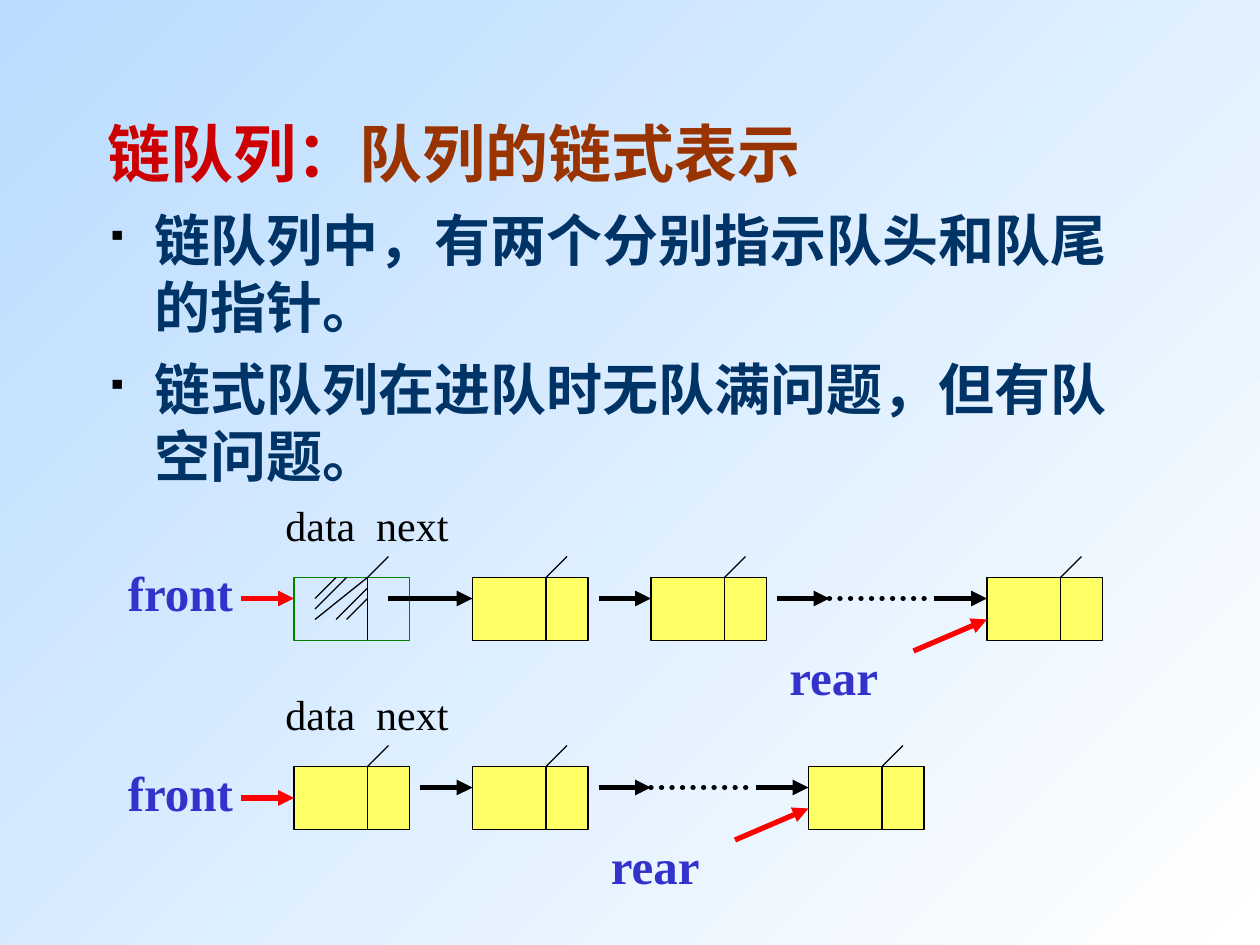
"""Build a slide explaining the linked representation of a queue."""
from lxml import etree
from pptx import Presentation
from pptx.dml.color import RGBColor
from pptx.enum.dml import MSO_LINE
from pptx.enum.shapes import MSO_CONNECTOR, MSO_SHAPE
from pptx.enum.text import MSO_ANCHOR, MSO_AUTO_SIZE, PP_ALIGN
from pptx.oxml import parse_xml
from pptx.oxml.ns import nsdecls, qn
from pptx.util import Pt

STRAIGHT, RECTANGLE = MSO_CONNECTOR.STRAIGHT, MSO_SHAPE.RECTANGLE
DOTTED, MIDDLE, LEFT = MSO_LINE.ROUND_DOT, MSO_ANCHOR.MIDDLE, PP_ALIGN.LEFT
FIT_SHAPE = MSO_AUTO_SIZE.SHAPE_TO_FIT_TEXT

TITLE = [("链队列：", "term"), ("队列的链式表示", "title")]
BULLETS = [
    "链队列中，有两个分别指示队头和队尾的指针。",
    "链式队列在进队时无队满问题，但有队空问题。",
]
QUEUES = [
    {"top": 330, "nodes": [168, 270, 372, 564], "header": True, "front_drop": 0},
    {"top": 438, "nodes": [168, 270, 462], "header": False, "front_drop": 6},
]
HATCHING = [
    (30, 0, 12, 18), (42, 6, 24, 24), (42, 0, 12, 24), (42, 12, 30, 24), (24, 0, 12, 12),
]
THEME = {
    "font": "Times New Roman",
    "sizes": {"title": 36, "body": 32, "pointer": 28, "field": 24},
    "colors": {
        "term": "CC0000", "title": "993300", "body": "003366", "pointer": "3333CC",
        "field": "000000", "line": "000000", "arrow": "FF0000", "header": "008000",
        "node": "FFFF66", "light": "FFFFFF", "sky": "B9DCFF",
    },
    "thin": 0.75,
    "thick": 3,
}
NODE_WIDTH, NODE_HEIGHT, DATA_WIDTH = 66, 36, 42
LINK_DROP, LINK_LENGTH, DOTS_LENGTH, TICK = 12, 30, 60, 12


def color(name):
    return RGBColor.from_string(THEME["colors"][name])


def style_font(font, size, tone, bold):
    font.name, font.size, font.bold = THEME["font"], Pt(THEME["sizes"][size]), bold
    font.color.rgb = color(tone)


def add_line(shapes, start, end, tone="line", width="thin", arrow=False, dotted=False):
    line = shapes.add_connector(STRAIGHT, *map(Pt, (*start, *end)))
    line.line.color.rgb = color(tone)
    line.line.width = Pt(THEME[width])
    outline = line.line._get_or_add_ln()
    if dotted:
        line.line.dash_style = DOTTED
        outline.set("cap", "rnd")
    if arrow:
        etree.SubElement(outline, qn("a:tailEnd"), type="triangle")
    etree.SubElement(line._element.spPr, qn("a:effectLst"))


def add_label(shapes, text, left, top, width, height, role, wrap=False):
    box = shapes.add_textbox(Pt(left), Pt(top), Pt(width), Pt(height))
    frame = box.text_frame
    frame.word_wrap, frame.auto_size = wrap, FIT_SHAPE
    frame.text = text
    style_font(frame.paragraphs[0].runs[0].font, role, role, role == "pointer")


def add_node(shapes, left, top, header):
    node = shapes.add_shape(RECTANGLE, Pt(left), Pt(top), Pt(NODE_WIDTH), Pt(NODE_HEIGHT))
    node.shadow.inherit = False
    node.line.width = Pt(THEME["thin"])
    node.line.color.rgb = color("header" if header else "line")
    if header:
        node.fill.background()
    else:
        node.fill.solid()
        node.fill.fore_color.rgb = color("node")
    divider = left + DATA_WIDTH
    add_line(shapes, (divider, top), (divider, top + NODE_HEIGHT))
    add_line(shapes, (divider, top), (divider + TICK, top - TICK))


def add_queue(page, queue):
    shapes = page.shapes.add_group_shape().shapes
    top, nodes, header = queue["top"], queue["nodes"], queue["header"]
    first, last = nodes[0], nodes[-1]
    link_y = top + LINK_DROP
    for index, left in enumerate(nodes):
        add_node(shapes, left, top, header and index == 0)

    for index, left in enumerate(nodes[1:]):
        start = first + 54 if header and index == 0 else left - LINK_LENGTH
        add_line(shapes, (start, link_y), (left, link_y), width="thick", arrow=True)
    dots_end = last - LINK_LENGTH
    dots_start = dots_end - DOTS_LENGTH
    add_line(shapes, (dots_start - LINK_LENGTH, link_y), (dots_start, link_y),
             width="thick", arrow=True)
    add_line(shapes, (dots_start, link_y), (dots_end, link_y), width="thick", dotted=True)

    front_y = link_y + queue["front_drop"]
    add_line(shapes, (first - LINK_LENGTH, front_y), (first, front_y), "arrow", "thick", True)
    add_line(shapes, (last - 42, top + 42), (last, top + 24), "arrow", "thick", True)
    add_label(shapes, "data  next", first - 12, top - 48, 132, 36, "field", wrap=True)
    add_label(shapes, "front", first - 102, front_y - 24, 75, 41, "pointer")
    add_label(shapes, "rear", last - 120, top + NODE_HEIGHT, 65.5, 41, "pointer")
    if header:
        for x1, y1, x2, y2 in HATCHING:
            add_line(shapes, (first + x1, top + y1), (first + x2, top + y2))


def add_title(page):
    title = page.shapes.title
    title.left, title.top, title.width, title.height = Pt(54), Pt(48), Pt(612), Pt(78)
    frame = title.text_frame
    frame.vertical_anchor = MIDDLE
    para = frame.paragraphs[0]
    para.alignment = LEFT
    for text, tone in TITLE:
        span = para.add_run()
        span.text = text
        style_font(span.font, "title", tone, True)


def add_bullets(page):
    box = page.shapes.add_textbox(Pt(54), Pt(114), Pt(612), Pt(180))
    frame = box.text_frame
    frame.word_wrap = True
    for index, text in enumerate(BULLETS):
        para = frame.paragraphs[0] if index == 0 else frame.add_paragraph()
        para.text = text
        if index:
            para.space_before = Pt(8)
        properties = para._p.get_or_add_pPr()
        properties.set("marL", str(Pt(27)))
        properties.set("indent", str(-Pt(27)))
        for element in (
            f'<a:buClr {nsdecls("a")}><a:srgbClr val="{THEME["colors"]["line"]}"/></a:buClr>',
            f'<a:buSzPct {nsdecls("a")} val="50000"/>',
            f'<a:buChar {nsdecls("a")} char="▪"/>',
        ):
            properties.append(parse_xml(element))
        style_font(para.runs[0].font, "body", "body", True)


def main():
    deck = Presentation()
    deck.slide_width, deck.slide_height = Pt(720), Pt(540)
    page = deck.slides.add_slide(deck.slide_layouts[5])
    fill = page.background.fill
    fill.gradient()
    fill.gradient_angle = 135
    for stop, tone in zip(fill.gradient_stops, ("light", "sky")):
        stop.color.rgb = color(tone)
    add_title(page)
    add_bullets(page)
    for queue in QUEUES:
        add_queue(page, queue)
    deck.save("out.pptx")


if __name__ == "__main__":
    main()
